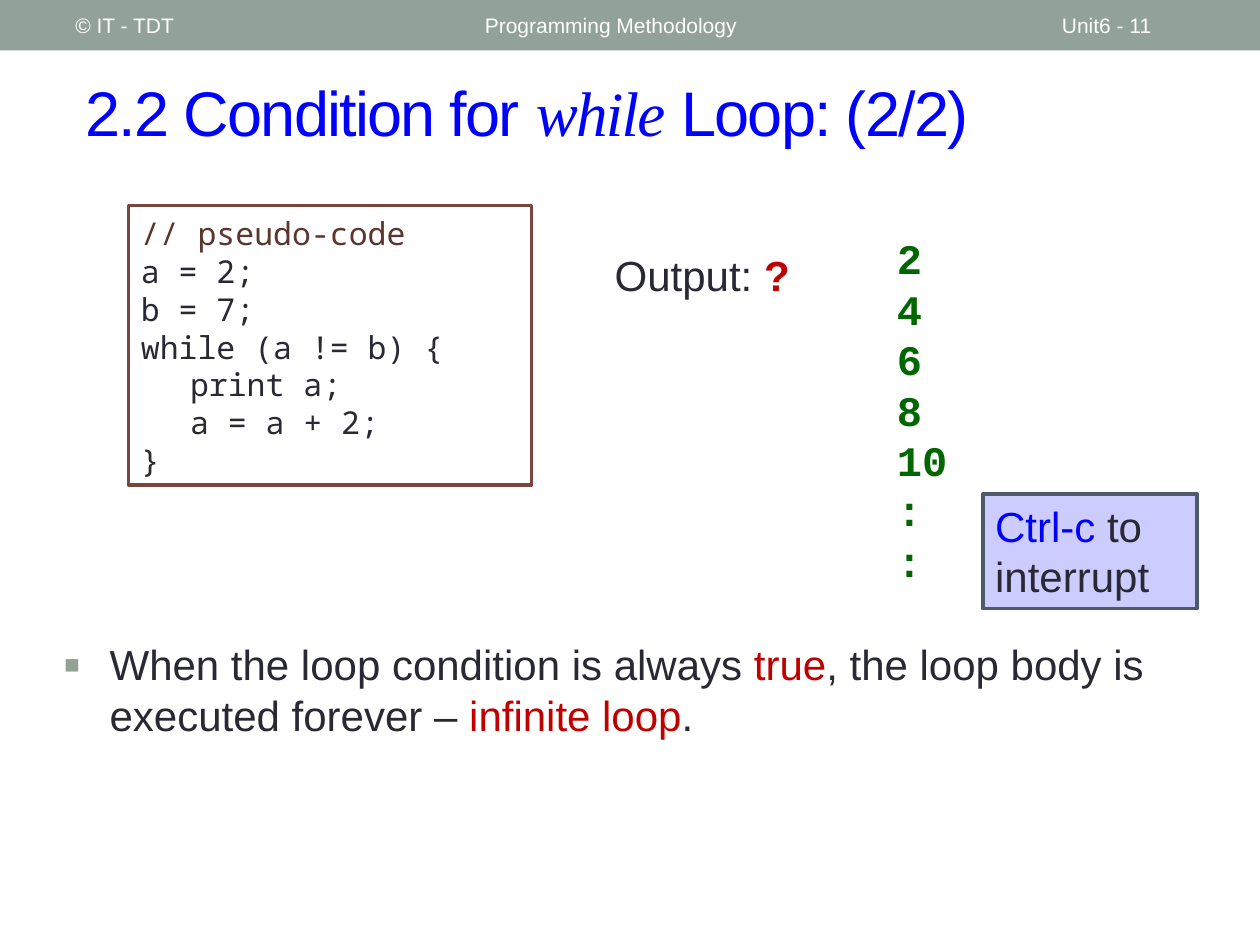
from lxml.etree import SubElement
from pptx import Presentation
from pptx.dml.color import RGBColor
from pptx.enum.shapes import MSO_SHAPE
from pptx.enum.text import MSO_ANCHOR, MSO_AUTO_SIZE, PP_ALIGN
from pptx.oxml.ns import qn
from pptx.util import Inches, Pt

INK, BLUE, RED, GREEN = "292934", "0000FF", "C00000", "006600"
SAGE, WHITE = "93A299", "FFFFFF"


def color(value):
    return RGBColor.from_string(value)


def place(shape, box):
    shape.left, shape.top, shape.width, shape.height = map(Inches, box)


def add_text(paragraph, text, size=24, font="Arial", fill=INK, bold=False, italic=False):
    run = paragraph.add_run()
    run.text = text
    run.font.size = Pt(size)
    run.font.name = font
    run.font.color.rgb = color(fill)
    run.font.bold = bold
    run.font.italic = italic
    return run


def add_lines(frame, lines, **text_format):
    for index, line in enumerate(lines):
        paragraph = frame.add_paragraph() if index else frame.paragraphs[0]
        paragraph.alignment = PP_ALIGN.LEFT
        add_text(paragraph, line, **text_format)


def add_text_box(slide, box, anchor=MSO_ANCHOR.TOP):
    frame = slide.shapes.add_textbox(*map(Inches, box)).text_frame
    frame.word_wrap = True
    frame.vertical_anchor = anchor
    return frame


def add_panel(slide, box, fill, line=None):
    shape = slide.shapes.add_shape(MSO_SHAPE.RECTANGLE, *map(Inches, box))
    shape.shadow.inherit = False
    shape.fill.solid()
    shape.fill.fore_color.rgb = color(fill)
    if line:
        shape.line.color.rgb = color(line)
        shape.line.width = Pt(2.08)
    else:
        shape.line.fill.background()
    frame = shape.text_frame
    frame.word_wrap = True
    frame.vertical_anchor = MSO_ANCHOR.TOP
    frame.paragraphs[0].alignment = PP_ALIGN.LEFT
    return frame


def add_header(slide, box):
    left, top, width, height = box
    add_panel(slide, box, SAGE)
    labels = (
        ("© IT - TDT", 0.5, 3.17),
        ("Programming Methodology", 3.75, 4.5),
        ("Unit6 - 11", 8.33, 1.17),
    )
    for label, offset, label_width in labels:
        label_box = (left + offset, top + 0.02, label_width, height - 0.04)
        frame = add_text_box(slide, label_box, MSO_ANCHOR.MIDDLE)
        add_lines(frame, [label], size=12, fill=WHITE)


def fill_title(slide, box):
    title = slide.shapes.title
    place(title, box)
    title.text_frame.auto_size = MSO_AUTO_SIZE.NONE
    title.text_frame.vertical_anchor = MSO_ANCHOR.MIDDLE
    paragraph = title.text_frame.paragraphs[0]
    paragraph.alignment = PP_ALIGN.LEFT
    parts = (
        ("2.2 Condition for ", {}),
        ("while", {"font": "Times New Roman", "italic": True}),
        (" Loop: (2/2)", {}),
    )
    for text, text_format in parts:
        run = add_text(paragraph, text, size=36, fill=BLUE, **text_format)
        run.font._element.set("spc", "-100")


def fill_body(slide, box):
    body = slide.placeholders[1]
    place(body, box)
    body.text_frame.auto_size = MSO_AUTO_SIZE.NONE
    paragraph = body.text_frame.paragraphs[0]
    paragraph.space_before = Pt(6)
    properties = paragraph._p.get_or_add_pPr()
    properties.set("marL", str(Inches(0.37)))
    properties.set("indent", str(Inches(-0.37)))
    bullet_color = SubElement(properties, qn("a:buClr"))
    SubElement(bullet_color, qn("a:srgbClr"), val=SAGE)
    SubElement(properties, qn("a:buSzPct"), val="120000")
    SubElement(properties, qn("a:buFont"), typeface="Arial")
    SubElement(properties, qn("a:buChar"), char="▪")
    parts = (
        ("When the loop condition is always ", INK),
        ("true", RED),
        (", the loop body is executed forever – ", INK),
        ("infinite loop", RED),
        (".", INK),
    )
    for text, fill in parts:
        add_text(paragraph, text, fill=fill)


def add_code(slide, box):
    frame = add_panel(slide, box, WHITE, "79463D")
    frame.margin_top = Inches(0.07)
    lines = ["// pseudo-code", "a = 2;", "b = 7;", "while (a != b) {",
             "\tprint a;", "\ta = a + 2;", "}"]
    add_lines(frame, lines, size=18, font="Noto Sans Mono")
    frame.paragraphs[0].runs[0].font.color.rgb = color("5B352E")
    for paragraph in frame.paragraphs:
        paragraph.line_spacing = Pt(21.6)
        tabs = SubElement(paragraph._p.get_or_add_pPr(), qn("a:tabLst"))
        for position in (0.39, 0.79):
            SubElement(tabs, qn("a:tab"), pos=str(Inches(position)), algn="l")


def add_output(slide, label_box, values_box):
    paragraph = add_text_box(slide, label_box).paragraphs[0]
    paragraph.space_before = Pt(4.8)
    add_text(paragraph, "Output: ")
    add_text(paragraph, "?", fill=RED, bold=True)
    values = ["2", "4", "6", "8", "10", ":", ":"]
    add_lines(add_text_box(slide, values_box), values,
              font="Courier New", fill=GREEN, bold=True)


def add_interrupt_note(slide, box):
    paragraph = add_panel(slide, box, "CCCCFF", "4C5A6A").paragraphs[0]
    add_text(paragraph, "Ctrl-c", fill=BLUE)
    add_text(paragraph, " to interrupt")


def main():
    presentation = Presentation()
    presentation.slide_width = Inches(10)
    presentation.slide_height = Inches(7.5)
    slide = presentation.slides.add_slide(presentation.slide_layouts[1])
    add_header(slide, (0, 0, 10, 0.4))
    fill_title(slide, (0.58, 0.42, 9.17, 0.92))
    fill_body(slide, (0.4, 5.02, 8.92, 1.2))
    add_code(slide, (1.02, 1.63, 3.2, 2.22))
    add_output(slide, (4.78, 1.93, 4.78, 0.87), (7.02, 1.8, 1.07, 2.93))
    add_interrupt_note(slide, (7.8, 3.92, 1.7, 0.91))
    presentation.save("out.pptx")


if __name__ == "__main__":
    main()
